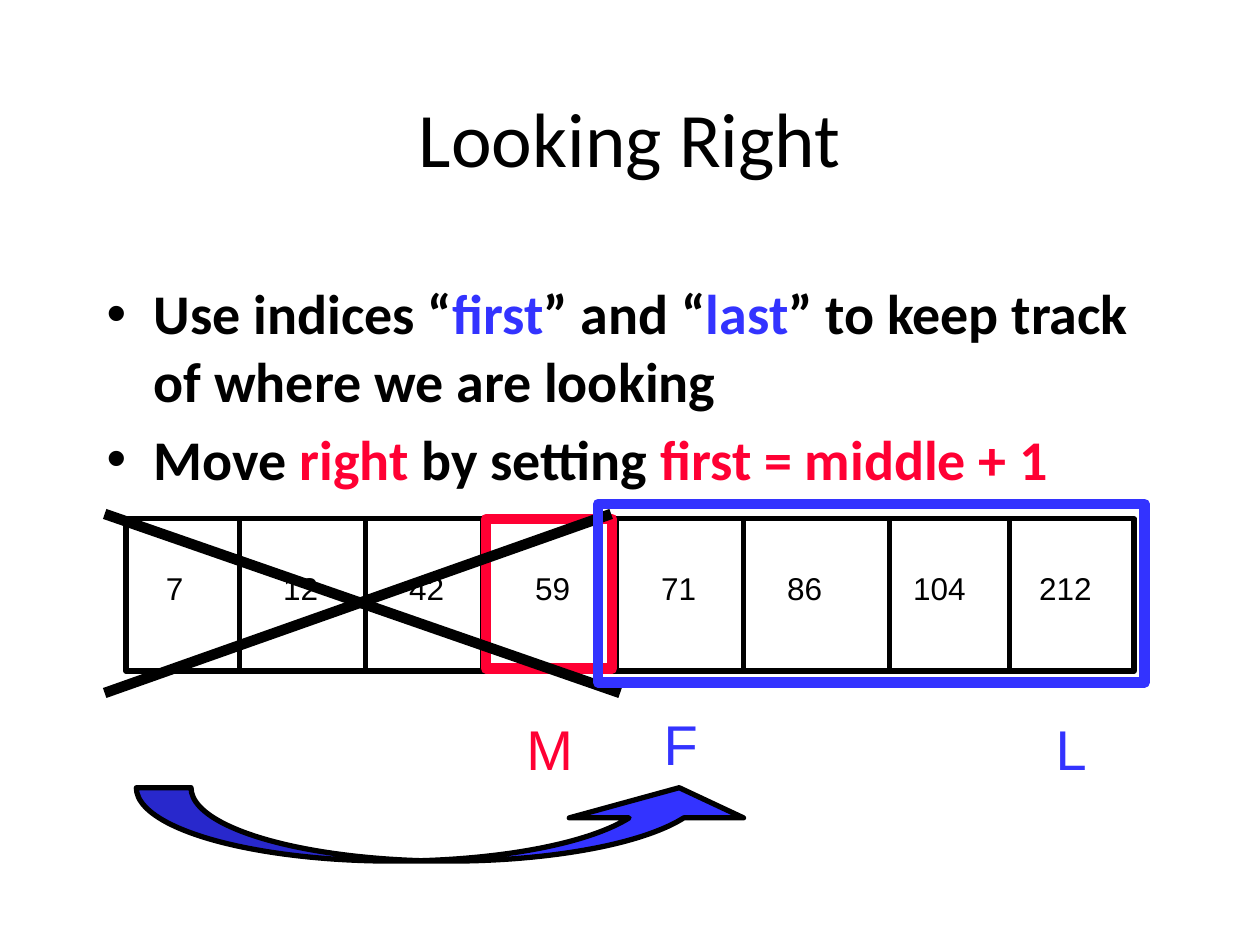
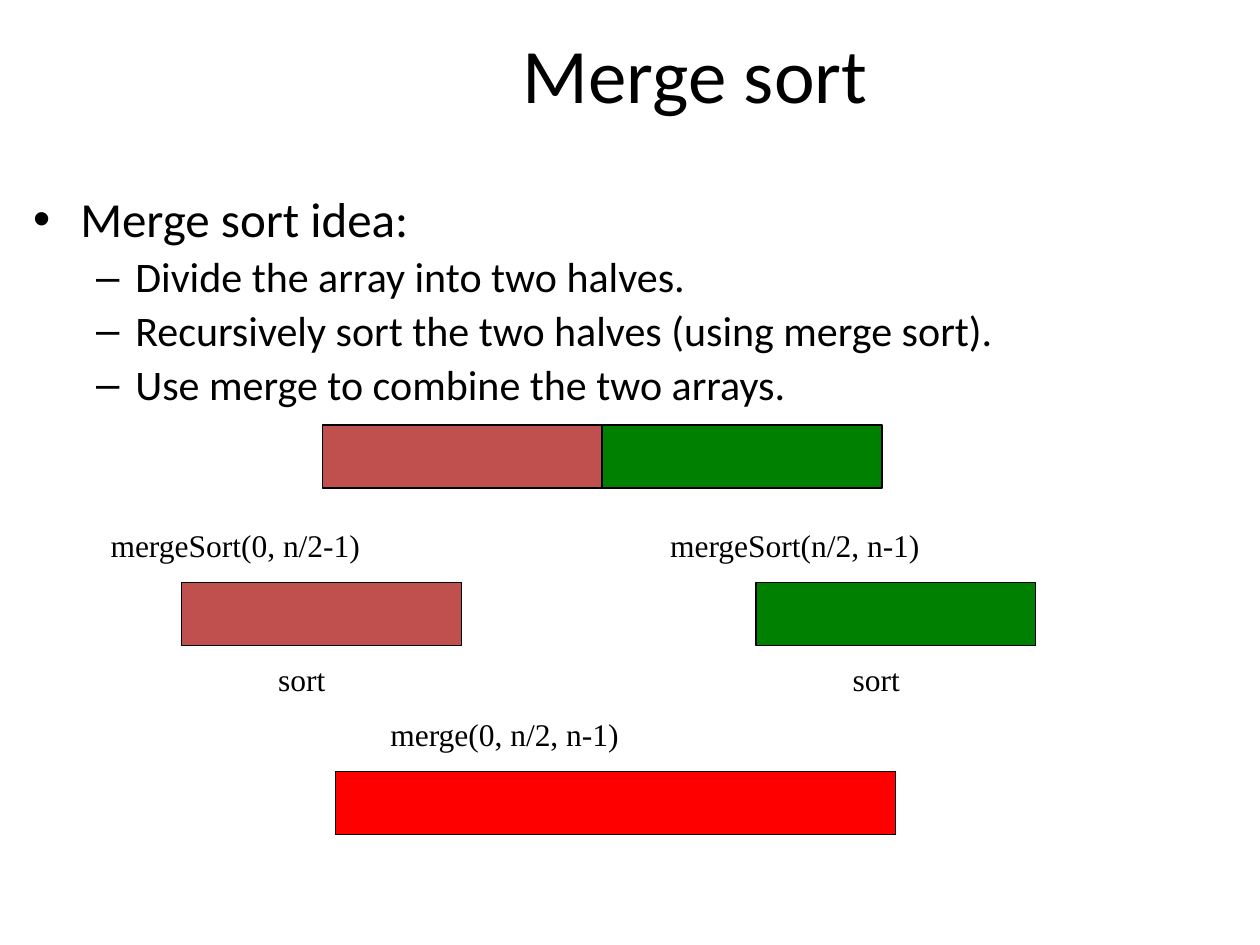
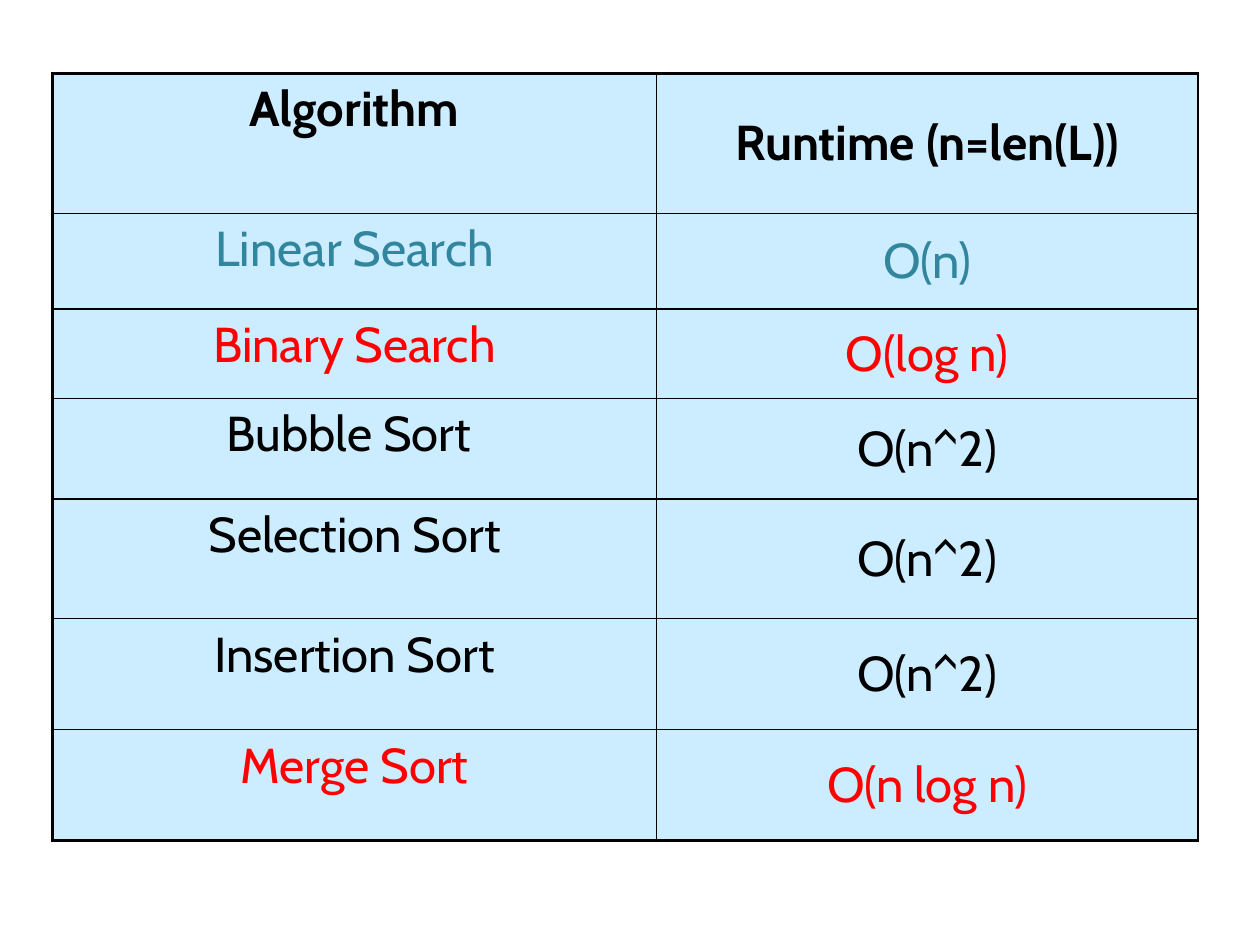
from dataclasses import dataclass
from typing import Any, NamedTuple

from lxml import etree
from pptx import Presentation
from pptx import util as u
from pptx.dml import color
from pptx.enum import shapes, text
from pptx.oxml import ns

HUES = {
    "black": "000000",
    "blue": "3333FF",
    "pink": "FF0033",
    "brick": "C0504D",
    "green": "008000",
    "red": "FF0000",
    "teal": "31859C",
    "sky": "CCECFF",
}


class Box(NamedTuple):
    x: float
    y: float
    w: float
    h: float


class Span(NamedTuple):
    text: str
    hue: str = "black"


class Font(NamedTuple):
    name: str
    size: float
    bold: bool = False


@dataclass
class Label:
    box: Box
    text: str
    font: Font
    hue: str = "black"
    align: Any = text.PP_ALIGN.LEFT


@dataclass
class Point:
    spans: list[Span]
    font: Font
    mark: str = "•"
    level: int = 0
    left: float = 0.95
    hang: float = 0.95


@dataclass
class Block:
    box: Box
    fill: str | None = None
    line: str = "black"
    width: float = 0.75
    kind: Any = shapes.MSO_SHAPE.RECTANGLE


@dataclass
class Stroke:
    x1: float
    y1: float
    x2: float
    y2: float
    width: float


TITLE = Font("Calibri", 44)
CODE = Font("Times New Roman", 18)
INDEX = Font("Arial", 32)


def rgb(hue: str) -> color.RGBColor:
    return color.RGBColor.from_string(HUES[hue])


def place(box: Box) -> list[u.Length]:
    return [u.Cm(n) for n in box]


def child(node: Any, tag: str, **attrs: Any) -> Any:
    return etree.SubElement(node, ns.qn(tag), {k: str(v) for k, v in attrs.items()})


def style(run: Any, font: Font, hue: str) -> None:
    run.font.name = font.name
    run.font.size = u.Pt(font.size)
    run.font.bold = font.bold
    run.font.color.rgb = rgb(hue)


def add_frame(slide: Any, box: Box) -> Any:
    frame = slide.shapes.add_textbox(*place(box)).text_frame
    frame.word_wrap = True
    return frame


def add_label(slide: Any, item: Label) -> Any:
    frame = add_frame(slide, item.box)
    frame.text = item.text
    para = frame.paragraphs[0]
    para.alignment = item.align
    for run in para.runs:
        style(run, item.font, item.hue)
    return para


def add_title(slide: Any, words: str, box: Box) -> None:
    add_label(slide, Label(box, words, TITLE, align=text.PP_ALIGN.CENTER))


def add_points(slide: Any, box: Box, points: list[Point], pitch: float = 1.0) -> None:
    frame = add_frame(slide, box)
    for i, point in enumerate(points):
        para = frame.add_paragraph() if i else frame.paragraphs[0]
        props = para._p.get_or_add_pPr()
        props.set("marL", str(u.Cm(point.left)))
        props.set("indent", str(-u.Cm(point.hang)))
        child(props, "a:buFont", typeface="Arial")
        child(props, "a:buChar", char=point.mark)
        para.level = point.level
        para.line_spacing = pitch
        para.space_before = u.Pt(0.2 * point.font.size if i else 0)
        for span in point.spans:
            run = para.add_run()
            run.text = span.text
            style(run, point.font, span.hue)


def add_block(slide: Any, item: Block) -> Any:
    shape = slide.shapes.add_shape(item.kind, *place(item.box))
    shape.shadow.inherit = False
    if item.fill:
        shape.fill.solid()
        shape.fill.fore_color.rgb = rgb(item.fill)
    else:
        shape.fill.background()
    shape.line.color.rgb = rgb(item.line)
    shape.line.width = u.Pt(item.width)
    return shape


def add_stroke(slide: Any, item: Stroke) -> None:
    ends = [u.Cm(n) for n in (item.x1, item.y1, item.x2, item.y2)]
    link = slide.shapes.add_connector(shapes.MSO_CONNECTOR.STRAIGHT, *ends)
    link.line.color.rgb = rgb("black")
    link.line.width = u.Pt(item.width)
    child(link._element.spPr, "a:effectLst")


def add_edge(cell: Any, side: str, width: float) -> None:
    edge = etree.Element(ns.qn(f"a:ln{side}"), {"w": str(u.Pt(width))})
    fill = child(edge, "a:solidFill")
    child(fill, "a:srgbClr", val=HUES["black"])
    cell._tc.get_or_add_tcPr().insert("LRTB".index(side), edge)


def draw_search(slide: Any) -> None:
    add_title(slide, "Looking Right", Box(1.9, 1.7, 21.6, 3.18))
    bold = Font("Calibri", 32, True)
    add_points(slide, Box(1.9, 5.5, 21.6, 11.43), [
        Point([Span("Use indices “"), Span("first", "blue"), Span("” and “"),
               Span("last", "blue"), Span("” to keep track of where we are looking")], bold),
        Point([Span("Move "), Span("right", "pink"), Span(" by setting "),
               Span("first = middle + 1", "pink")], bold),
    ])

    array = Box(2.54, 10.46, 20.32, 3.07)
    add_block(slide, Block(array, width=3))
    for x in (4.83, 7.37, 9.73, 12.42, 14.99, 17.93, 20.35):
        add_stroke(slide, Stroke(x, array.y, x, array.y + array.h, 3))

    values = [7, 12, 42, 59, 71, 86, 104, 212]
    row = add_label(slide, Label(Box(2.92, 11.35, 19.71, 1.27),
                                 " " + "\t".join(map(str, values)), Font("Arial", 18)))
    tabs = child(row._p.get_or_add_pPr(), "a:tabLst")
    for i in range(1, len(values)):
        child(tabs, "a:tab", pos=u.Cm(2.54 * i), algn="l")

    add_block(slide, Block(Box(9.8, 10.46, 2.54, 3.02), line="pink", width=6))
    for name, x, y, hue in (("L", 21.03, 14.27, "blue"), ("M", 10.36, 14.27, "pink"),
                            ("F", 13.13, 14.17, "blue")):
        add_label(slide, Label(Box(x, y, 1.45, 1.6), name, INDEX, hue))

    arrow = add_block(slide, Block(Box(2.75, 15.88, 12.7, 1.48), "blue", width=3,
                                   kind=shapes.MSO_SHAPE.CURVED_UP_ARROW))
    for i, value in enumerate((0.745, 2.374, 0.411)):
        arrow.adjustments[i] = value

    add_stroke(slide, Stroke(12.32, 10.36, 2.11, 13.97, 6))
    add_stroke(slide, Stroke(2.11, 10.36, 12.5, 13.97, 6))
    add_block(slide, Block(Box(12.06, 10.16, 11.01, 3.6), line="blue", width=6))


def draw_merge(slide: Any) -> None:
    steps = ("Divide the array into two halves.",
             "Recursively sort the two halves (using merge sort).",
             "Use merge to combine the two arrays.")
    small = Font("Calibri", 24)
    add_points(slide, Box(0.42, 3.81, 22.86, 4.45), [
        Point([Span("Merge sort idea:")], Font("Calibri", 28)),
        *(Point([Span(step)], small, "–", 1, 2.06, 0.79) for step in steps),
    ], 0.9)

    wide, high = 5.64, 1.27
    for hue, top, low, call, words in (
        ("brick", 6.5, 3.66, 1.98, "mergeSort(0, n/2-1)"),
        ("green", 6.5 + wide, 15.24, 13.26, "mergeSort(n/2, n-1)"),
    ):
        add_block(slide, Block(Box(top, 8.57, wide, high), hue))
        add_block(slide, Block(Box(low, 11.75, wide, high), hue))
        add_label(slide, Label(Box(call, 10.48, 7.24, high), words, CODE))
        add_label(slide, Label(Box(low + 1.7, 13.18, 2.38, 0.95), "sort", CODE))

    add_block(slide, Block(Box(6.77, 15.56, 2 * wide, high), "red"))
    add_label(slide, Label(Box(7.62, 14.29, 6.67, high), "merge(0, n/2, n-1)", CODE))
    add_title(slide, "Merge sort", Box(3.18, 0.42, 21.67, 2.33))


def draw_costs(slide: Any) -> None:
    rows = [
        ("Algorithm", "Runtime (n=len(L))", "black", 2.82),
        ("Linear Search", "O(n)", "teal", 1.93),
        ("Binary Search", "O(log n)", "red", 1.8),
        ("Bubble Sort ", "O(n^2)", "black", 2.03),
        ("Selection Sort", "O(n^2)", "black", 2.41),
        ("Insertion Sort", "O(n^2)", "black", 2.24),
        ("Merge Sort", "O(n log n)", "red", 2.24),
    ]
    widths = (12.17, 10.92)
    box = Box(1.06, 1.48, sum(widths), sum(row[-1] for row in rows))
    table = slide.shapes.add_table(len(rows), len(widths), *place(box)).table
    table.first_row = table.horz_banding = False
    for col, width in zip(table.columns, widths):
        col.width = u.Cm(width)

    thin, thick = 1, 2.25
    for i, (name, cost, hue, height) in enumerate(rows):
        table.rows[i].height = u.Cm(height)
        for j, words in enumerate((name, cost)):
            cell = table.cell(i, j)
            cell.fill.solid()
            cell.fill.fore_color.rgb = rgb("sky")
            cell.vertical_anchor = text.MSO_ANCHOR.MIDDLE if j else text.MSO_ANCHOR.TOP
            cell.text_frame.text = words
            para = cell.text_frame.paragraphs[0]
            para.alignment = text.PP_ALIGN.CENTER
            style(para.runs[0], Font("Cabin", 28, i == 0), hue)
            add_edge(cell, "L", thin if j else thick)
            add_edge(cell, "R", thin)
            add_edge(cell, "T", thin if i else thick)
            add_edge(cell, "B", thick if i == len(rows) - 1 else thin)


def main() -> None:
    deck = Presentation()
    deck.slide_width = u.Cm(25.4)
    deck.slide_height = u.Cm(19.05)
    for draw in (draw_search, draw_merge, draw_costs):
        draw(deck.slides.add_slide(deck.slide_layouts[6]))
    deck.save("out.pptx")


if __name__ == "__main__":
    main()
